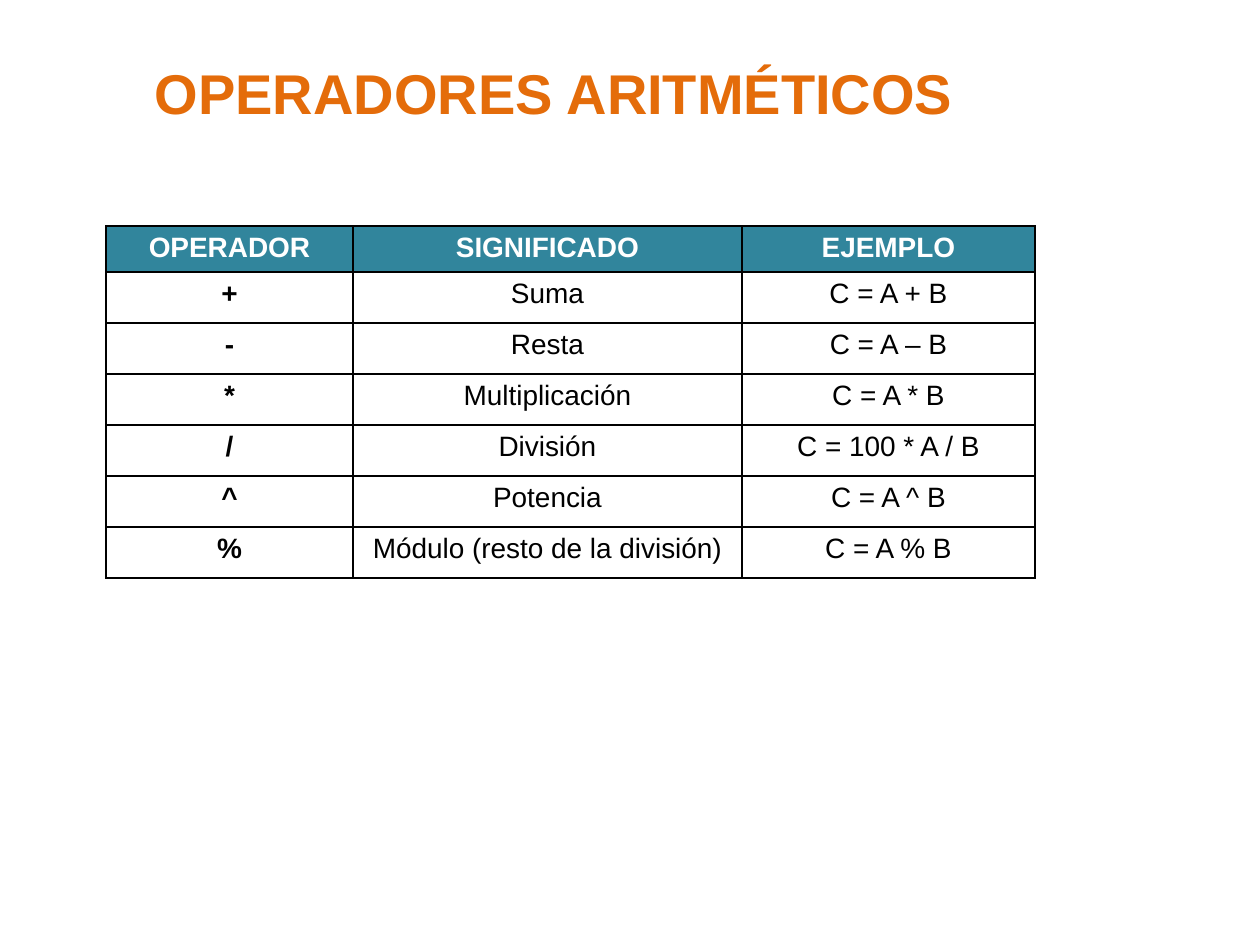
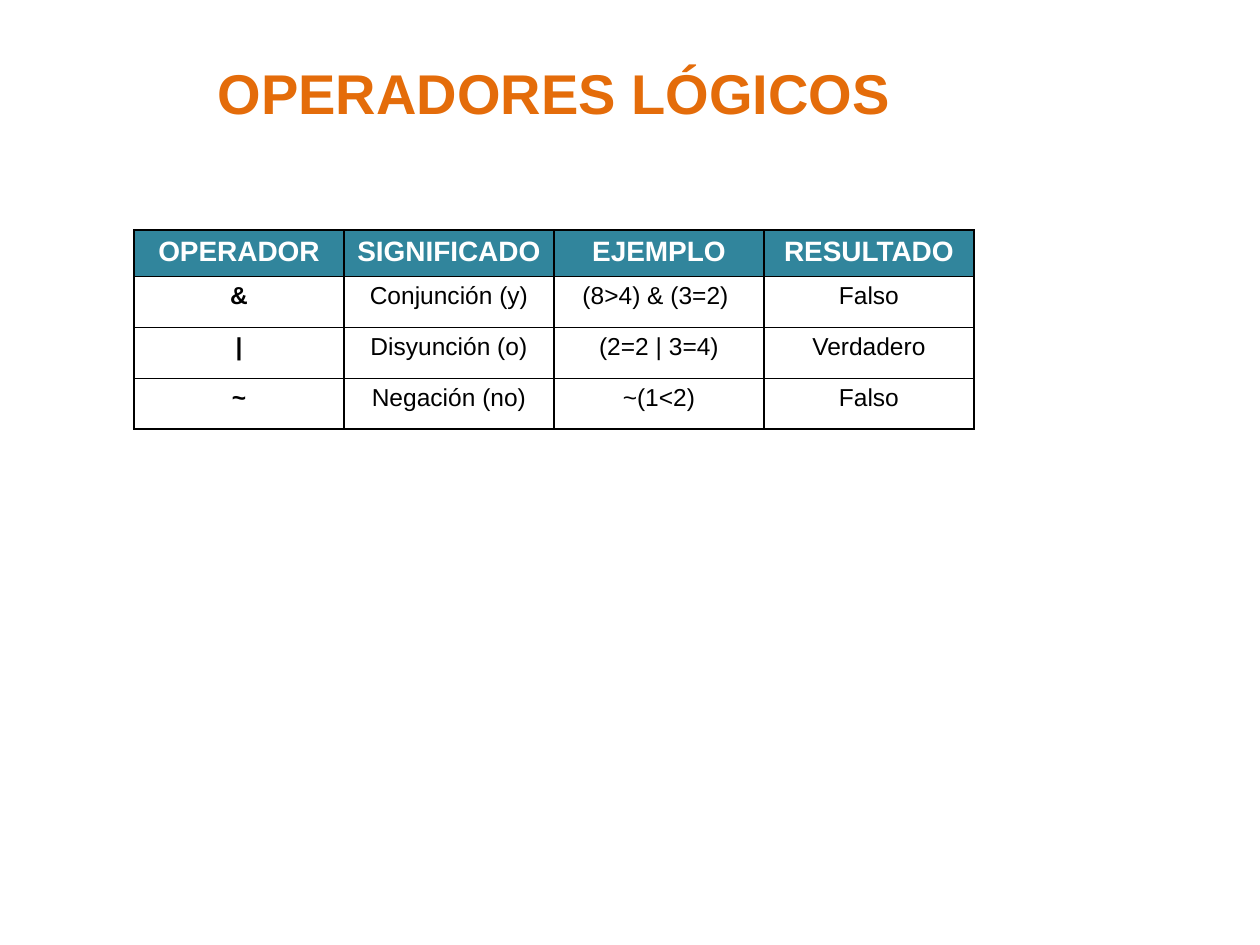
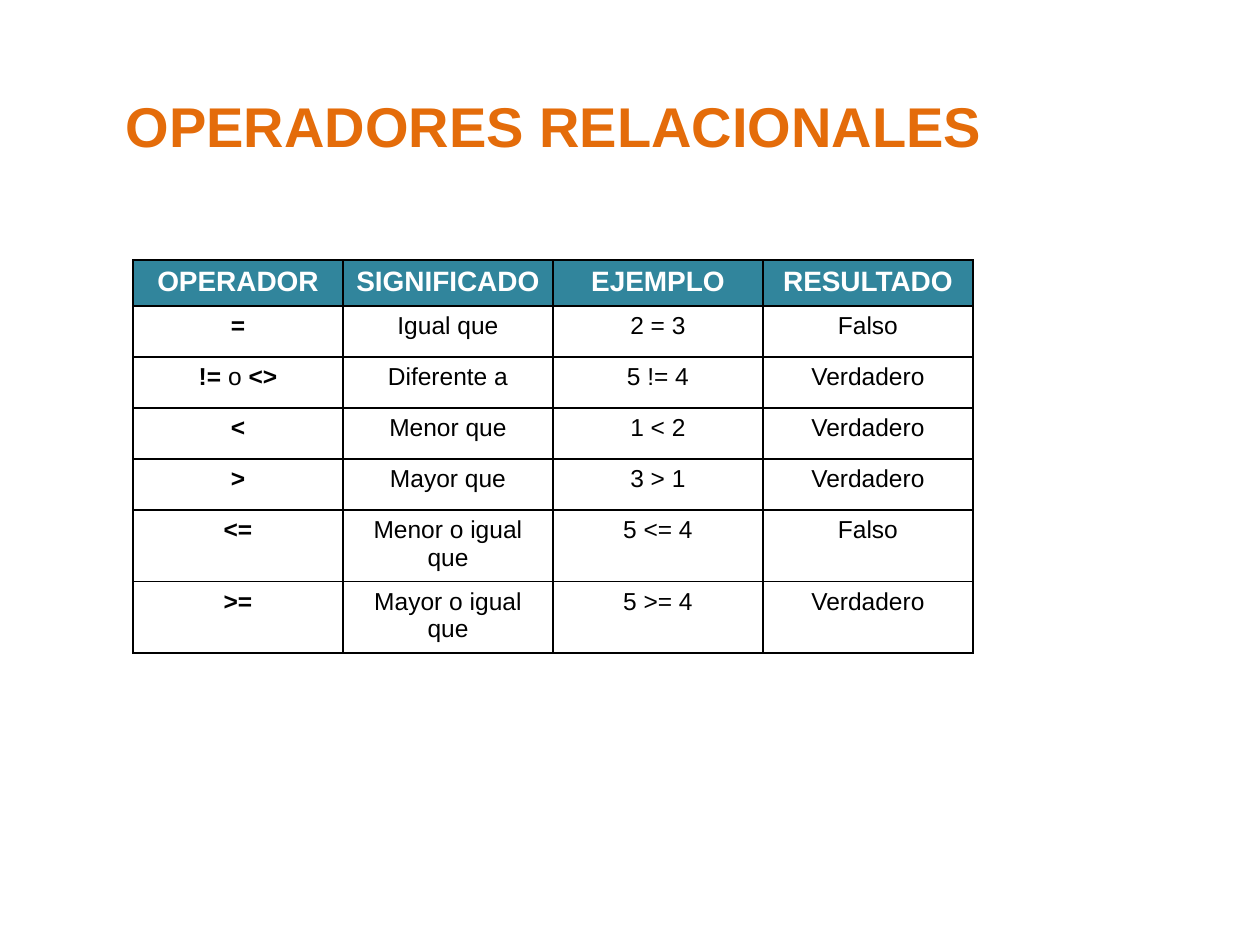
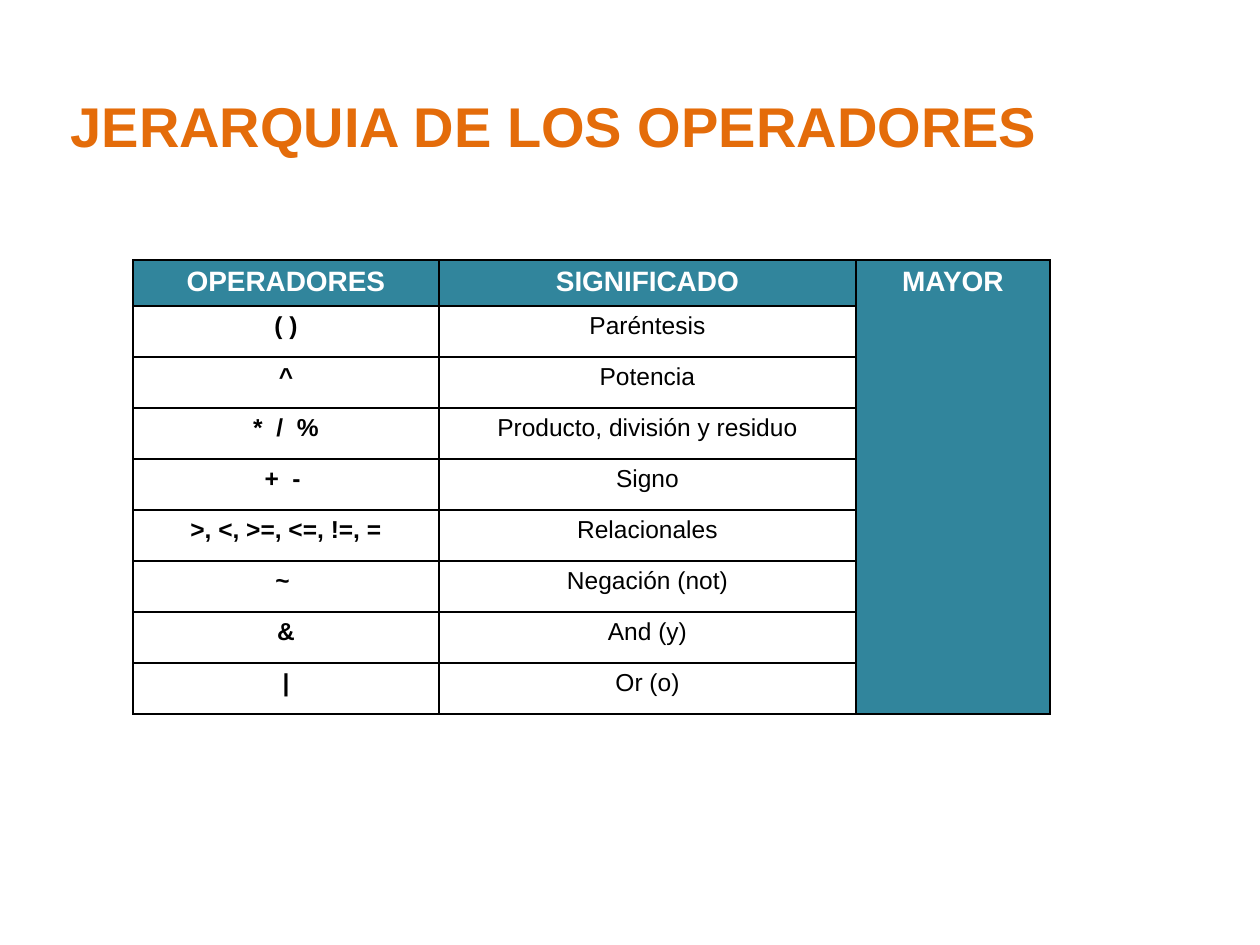
from lxml import etree
from pptx import Presentation
from pptx import util as u
from pptx.dml.color import RGBColor
from pptx.enum import text
from pptx.oxml.ns import qn

# Shared look
PX_PER_INCH = 126
FONT = "Arial"
ORANGE = RGBColor(0xE4, 0x6C, 0x0A)
TEAL = RGBColor(0x31, 0x85, 0x9C)
WHITE = RGBColor(0xFF, 0xFF, 0xFF)
BLACK = RGBColor(0x00, 0x00, 0x00)
HEADER_HEIGHT, ROW_HEIGHT, TALL_ROW_HEIGHT = 46, 51, 71
BORDER_WIDTH = u.Pt(1)

# Table contents; a cell is a string or a list of (text, bold) pieces
ARITHMETIC = [
    ["OPERADOR", "SIGNIFICADO", "EJEMPLO"],
    ["+", "Suma", "C = A + B"],
    ["-", "Resta", "C = A – B"],
    ["*", "Multiplicación", "C = A * B"],
    ["/", "División", "C = 100 * A / B"],
    ["^", "Potencia", "C = A ^ B"],
    ["%", "Módulo (resto de la división)", "C = A % B"],
]
LOGICAL = [
    ["OPERADOR", "SIGNIFICADO", "EJEMPLO", "RESULTADO"],
    ["&", "Conjunción (y)", "(8>4) & (3=2) ", "Falso"],
    ["|", "Disyunción (o)", "(2=2 | 3=4)", "Verdadero"],
    ["~", "Negación (no)", "~(1<2)", "Falso"],
]
RELATIONAL = [
    ["OPERADOR", "SIGNIFICADO", "EJEMPLO", "RESULTADO"],
    ["=", "Igual que", "2 = 3", "Falso"],
    [[("!= ", True), ("o", False), (" <>", True)], "Diferente a", "5 != 4", "Verdadero"],
    ["<", "Menor que", "1 < 2", "Verdadero"],
    [">", "Mayor que", "3 > 1", "Verdadero"],
    ["<=", "Menor o igual que", "5 <= 4", "Falso"],
    [">=", "Mayor o igual que", "5 >= 4", "Verdadero"],
]
HIERARCHY = [
    ["OPERADORES", "SIGNIFICADO", "MAYOR"],
    ["( )", "Paréntesis", ""],
    ["^", "Potencia", ""],
    ["*  /  %", "Producto, división y residuo", ""],
    ["+  - ", "Signo", ""],
    [">, <, >=, <=, !=, =", "Relacionales", ""],
    ["~ ", "Negación (not)", ""],
    ["&", "And (y)", ""],
    ["|", "Or (o)", ""],
]


def px(length):
    return u.Emu(round(length * u.Inches(1) / PX_PER_INCH))


def write_centred(paragraph, pieces, size, colour):
    paragraph.alignment = text.PP_ALIGN.CENTER
    for words, bold in pieces:
        run = paragraph.add_run()
        run.text = words
        for name, value in {"name": FONT, "size": u.Pt(size), "bold": bold}.items():
            setattr(run.font, name, value)
        run.font.color.rgb = colour


def add_title(slide, words, top):
    frame = slide.shapes.add_textbox(px(57), px(top), px(994), px(81)).text_frame
    frame.word_wrap = True
    frame.auto_size = text.MSO_AUTO_SIZE.SHAPE_TO_FIT_TEXT
    write_centred(frame.paragraphs[0], [(words, True)], 32, ORANGE)


def set_borders(cell, drawn):
    """Draw the sides named in drawn and clear the others."""
    properties = cell._tc.get_or_add_tcPr()
    for side in "LRTB":
        line = etree.SubElement(properties, qn(f"a:ln{side}"), w=str(BORDER_WIDTH))
        if side in drawn:
            fill = etree.SubElement(line, qn("a:solidFill"))
            etree.SubElement(fill, qn("a:srgbClr"), val=str(BLACK))
        else:
            etree.SubElement(line, qn("a:noFill"))


def add_operator_table(slide, left, top, widths, rows, size=14, tall_rows=(), band=None):
    """Add a table with a teal header; column number band is teal to the bottom."""
    heights = [HEADER_HEIGHT] + [
        TALL_ROW_HEIGHT if r in tall_rows else ROW_HEIGHT for r in range(1, len(rows))]
    table = slide.shapes.add_table(
        len(rows), len(widths), px(left), px(top), px(sum(widths)), px(sum(heights))).table
    table.horz_banding = False
    for column, width in zip(table.columns, widths):
        column.width = px(width)
    for row, height in zip(table.rows, heights):
        row.height = px(height)

    for r, contents in enumerate(rows):
        for c, content in enumerate(contents):
            cell = table.cell(r, c)
            header = r == 0
            # The band has no lines between its rows
            sides = "LRTB"
            if c == band:
                sides = "LR" + "T" * header + "B" * (r == len(rows) - 1)
            set_borders(cell, sides)
            if header or c == band:
                cell.fill.solid()
                cell.fill.fore_color.rgb = TEAL
            else:
                cell.fill.background()
            if content:
                pieces = [(content, header or c == 0)] if isinstance(content, str) else content
                write_centred(cell.text_frame.paragraphs[0], pieces,
                              16 if header else size, WHITE if header else BLACK)


def main():
    deck = Presentation()
    deck.slide_width, deck.slide_height = px(1260), px(945)

    # Title, its top, and the table on each slide
    pages = [
        ("OPERADORES ARITMÉTICOS", 52,
         dict(left=106, top=226, widths=[247, 389, 293], rows=ARITHMETIC, size=16)),
        ("OPERADORES LÓGICOS", 52,
         dict(left=134, top=230, widths=[210] * 4, rows=LOGICAL)),
        ("OPERADORES RELACIONALES", 85,
         dict(left=133, top=260, widths=[210] * 4, rows=RELATIONAL, tall_rows=(5, 6))),
        ("JERARQUIA DE LOS OPERADORES", 85,
         dict(left=133, top=260, widths=[306, 417, 194], rows=HIERARCHY, band=2)),
    ]
    for title, title_top, table in pages:
        slide = deck.slides.add_slide(deck.slide_layouts[6])
        add_title(slide, title, title_top)
        add_operator_table(slide, **table)

    deck.save("out.pptx")


if __name__ == "__main__":
    main()
